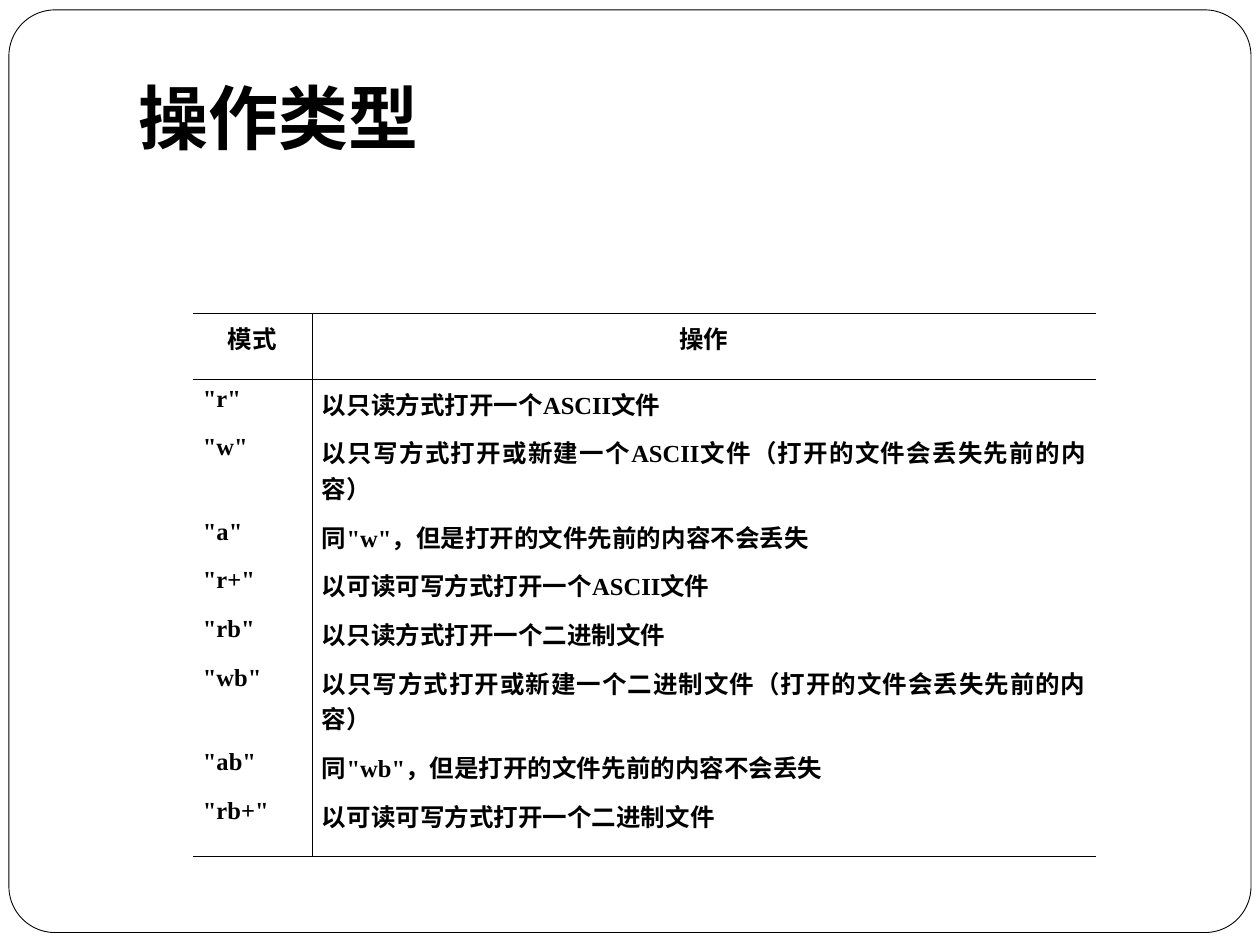
from lxml.etree import SubElement
from pptx import Presentation
from pptx.dml.color import RGBColor
from pptx.enum.shapes import MSO_SHAPE
from pptx.enum.text import MSO_ANCHOR, PP_ALIGN
from pptx.oxml.ns import qn
from pptx.util import Cm, Pt

BLACK, WHITE = "000000", "FFFFFF"
CHINESE_FONT, LATIN_FONT = "Noto Sans CJK SC", "Times New Roman"

ROWS = [
    ("模式", "操作"),
    ('"r"', "以只读方式打开一个ASCII文件"),
    ('"w"', "以只写方式打开或新建一个ASCII文件（打开的文件会丢失先前的内容）"),
    ('"a"', '同"w"，但是打开的文件先前的内容不会丢失'),
    ('"r+"', "以可读可写方式打开一个ASCII文件"),
    ('"rb"', "以只读方式打开一个二进制文件"),
    ('"wb"', "以只写方式打开或新建一个二进制文件（打开的文件会丢失先前的内容）"),
    ('"ab"', '同"wb"，但是打开的文件先前的内容不会丢失'),
    ('"rb+"', "以可读可写方式打开一个二进制文件"),
]
TALL_ROWS = {0, 2, 6, 8}


def color(value):
    return RGBColor.from_string(value)


def format_text(para, size, font, align):
    para.alignment = align
    for span in para.runs:
        span.font.size = Pt(size)
        span.font.bold = True
        span.font.name = font
        span.font.color.rgb = color(BLACK)
        east_asian = SubElement(span.font._element, qn("a:ea"))
        east_asian.set("typeface", CHINESE_FONT)


def set_borders(cell, visible):
    properties = cell._tc.get_or_add_tcPr()
    for side in "LRTB":
        line = SubElement(properties, qn(f"a:ln{side}"), w=str(Pt(0.45)))
        if side in visible:
            fill = SubElement(line, qn("a:solidFill"))
            SubElement(fill, qn("a:srgbClr"), val=BLACK)
        else:
            SubElement(line, qn("a:noFill"))


def add_frame(page, left, top, width, height):
    frame = page.shapes.add_shape(
        MSO_SHAPE.ROUNDED_RECTANGLE, left, top, width, height)
    frame.adjustments[0] = 0.05
    frame.shadow.inherit = False
    frame.fill.solid()
    frame.fill.fore_color.rgb = color(WHITE)
    frame.line.color.rgb = color(BLACK)
    frame.line.width = Pt(0.5)
    # Keep the frame behind the title
    page.shapes.title.element.addprevious(frame.element)


def add_title(page, left, top, width, height):
    title = page.shapes.title
    title.left, title.top, title.width, title.height = left, top, width, height
    title.text_frame.text = "操作类型"
    title.text_frame.vertical_anchor = MSO_ANCHOR.MIDDLE
    format_text(title.text_frame.paragraphs[0], 40, CHINESE_FONT, PP_ALIGN.LEFT)


def add_mode_table(page, left, top, width, height):
    table = page.shapes.add_table(len(ROWS), 2, left, top, width, height).table
    table.first_row = table.horz_banding = False
    table.columns[0].width = Cm(2.4)
    table.columns[1].width = width - Cm(2.4)
    last = len(ROWS) - 1
    for row, texts in enumerate(ROWS):
        table.rows[row].height = Cm(1.32 if row in TALL_ROWS else 0.78)
        for column, text in enumerate(texts):
            cell = table.cell(row, column)
            cell.margin_left = cell.margin_right = Cm(0.2)
            cell.margin_top = cell.margin_bottom = Cm(0.13)
            cell.text_frame.text = text
            align = PP_ALIGN.JUSTIFY if row else PP_ALIGN.CENTER
            format_text(cell.text_frame.paragraphs[0], 14, LATIN_FONT, align)
            # Rules around the header, below the last row, between columns
            visible = "L" if column else "R"
            visible += {0: "TB", 1: "T", last: "B"}.get(row, "")
            set_borders(cell, visible)
            cell.fill.background()


def main():
    deck = Presentation()
    deck.slide_width, deck.slide_height = Cm(25.4), Cm(19.05)
    page = deck.slides.add_slide(deck.slide_layouts[5])
    add_frame(page, Cm(0.18), Cm(0.2), Cm(25.04), Cm(18.6))
    add_title(page, Cm(2.54), Cm(0.76), Cm(21.59), Cm(3.18))
    add_mode_table(page, Cm(3.89), Cm(6.32), Cm(18.2), Cm(9.2))
    deck.save("out.pptx")


if __name__ == "__main__":
    main()
